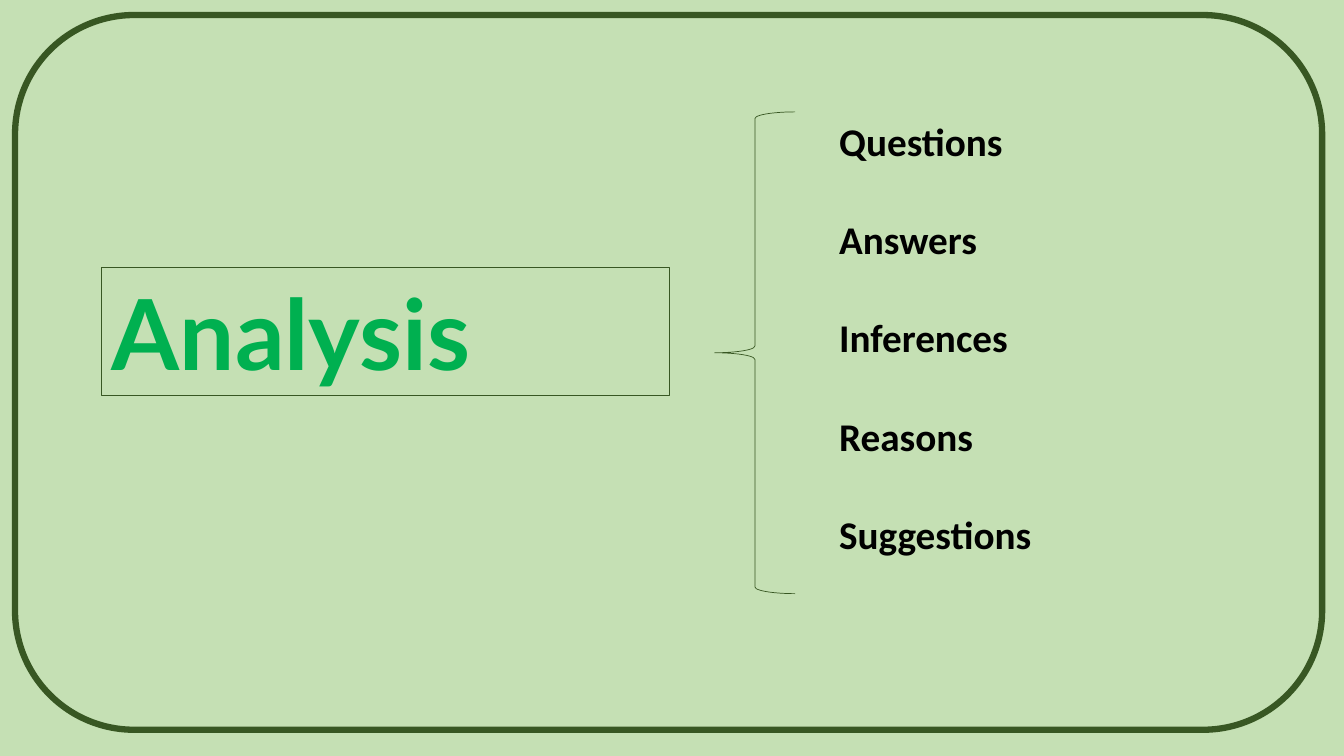
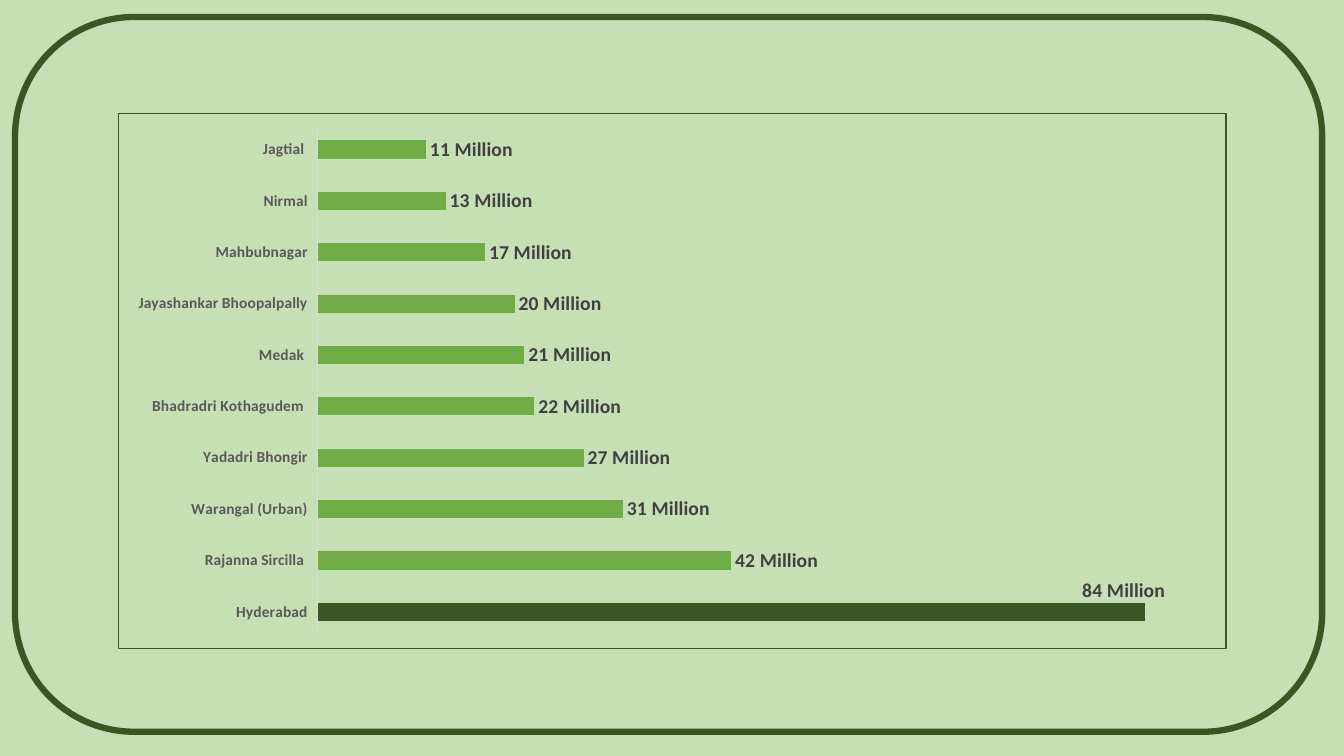
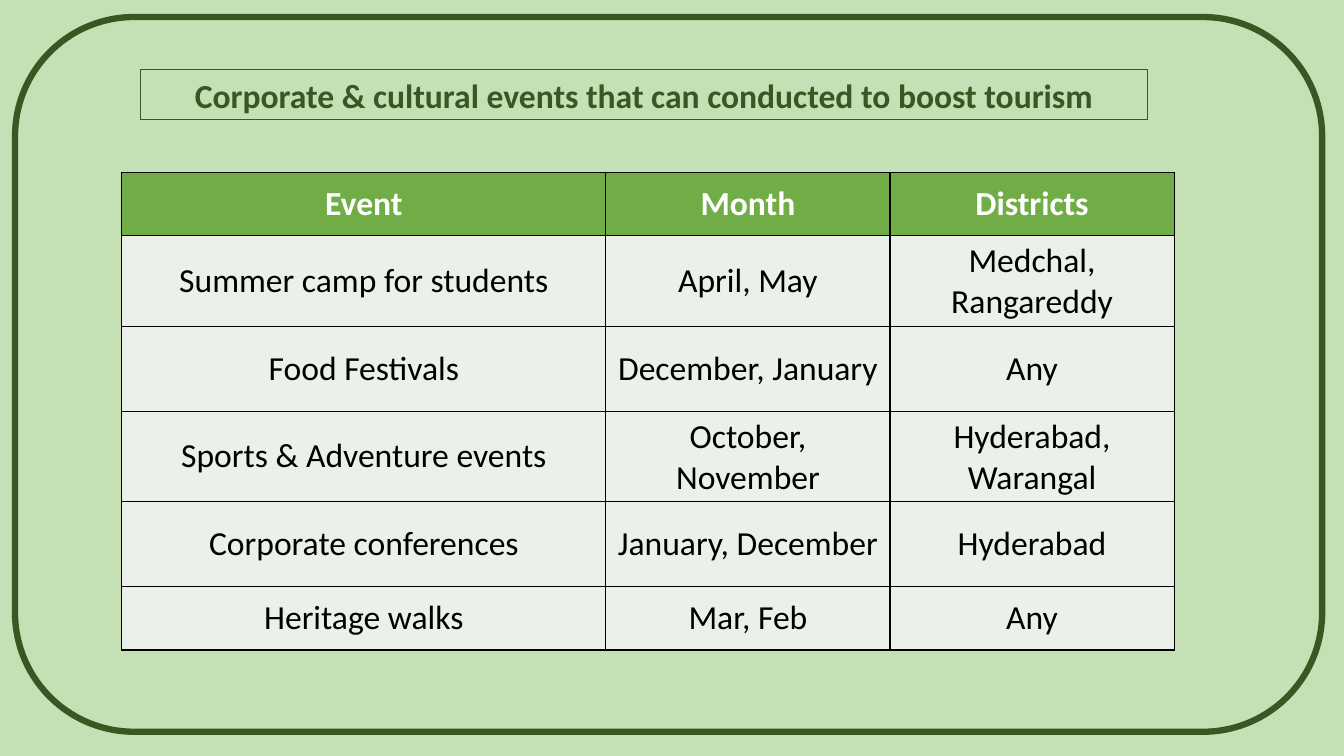
from pptx import Presentation
from pptx.chart.data import CategoryChartData as Data
from pptx.dml.color import RGBColor as Rgb
from pptx.enum.chart import XL_CHART_TYPE as Kind, XL_LABEL_POSITION as Spot
from pptx.enum.chart import XL_TICK_LABEL_POSITION as Side, XL_TICK_MARK as Tick
from pptx.enum.shapes import MSO_SHAPE as Form
from pptx.enum.text import MSO_ANCHOR as Anchor, MSO_AUTO_SIZE as Fit, PP_ALIGN as Align
from pptx.oxml import parse_xml
from pptx.oxml.ns import nsdecls
from pptx.util import Cm, Pt

HUES = {"back": "C5E0B4", "dark": "385723", "leaf": "70AD47", "title": "00B050",
        "cell": "EBF1E9", "black": "000000", "white": "FFFFFF",
        "axis": "D9D9D9", "name": "595959", "value": "404040"}
FACE = "Calibri"
UNIT = '0,,\\ "Million"'

TOPICS = ["Questions", "Answers", "Inferences", "Reasons", "Suggestions"]
VISITS = [("Hyderabad", 84), ("Rajanna Sircilla ", 42), ("Warangal (Urban)", 31),
          ("Yadadri Bhongir", 27), ("Bhadradri Kothagudem ", 22), ("Medak ", 21),
          ("Jayashankar Bhoopalpally", 20), ("Mahbubnagar", 17), ("Nirmal", 13),
          ("Jagtial ", 11)]
EVENTS = [("Event", "Month", "Districts"),
          ("Summer camp for students", "April, May", "Medchal, Rangareddy"),
          ("Food Festivals", "December, January", "Any"),
          ("Sports & Adventure events", "October, November", "Hyderabad, Warangal"),
          ("Corporate conferences", "January, December", "Hyderabad"),
          ("Heritage walks", "Mar, Feb", "Any")]


def hue(name):
    return Rgb.from_string(HUES[name])


def style(font, size, color, bold=True, face=FACE):
    font.size, font.bold, font.name = Pt(size), bold, face
    font.color.rgb = hue(color)


def write(frame, text, size=24, color="black", bold=True, face=FACE,
          align=Align.LEFT, anchor=Anchor.MIDDLE):
    frame.word_wrap = True
    frame.vertical_anchor = anchor
    para = frame.paragraphs[0]
    para.alignment = align
    run = para.add_run()
    run.text = text
    style(run.font, size, color, bold, face)


def outline(slide, form, box, width):
    """Add an unfilled shape with a dark line."""
    shape = slide.shapes.add_shape(form, *map(Cm, box))
    shape.shadow.inherit = False
    shape.fill.background()
    shape.line.color.rgb = hue("dark")
    shape.line.width = Pt(width)
    return shape


def border(slide, top=0.43):
    outline(slide, Form.ROUNDED_RECTANGLE, (0.38, top, 32.94, 18.01), 4.5)


def label(slide, box, text, **kind):
    """Add a thinly framed heading."""
    shape = outline(slide, Form.RECTANGLE, box, 0.75)
    write(shape.text_frame, text, **kind)
    shape.text_frame.auto_size = Fit.SHAPE_TO_FIT_TEXT


def topics(slide, box):
    """Add a brace with an evenly spaced list beside it."""
    left, top, width, high = box
    outline(slide, Form.LEFT_BRACE, (left, top, 2.03, high), 0.5)
    indent, pitch = 2.89, 2.48
    for row, text in enumerate(TOPICS):
        area = (left + indent, top + row * pitch, width - indent, 1.45)
        item = slide.shapes.add_textbox(*map(Cm, area))
        write(item.text_frame, text, size=28, anchor=Anchor.TOP)
        item.text_frame.auto_size = Fit.SHAPE_TO_FIT_TEXT


def layout(x, y, wide=None, high=None):
    """Make a manual chart layout, as fractions of the chart."""
    parts = {"x": x, "y": y}
    tags = ""
    if wide:
        parts.update(w=wide, h=high)
        tags = '<c:layoutTarget val="inner"/><c:xMode val="edge"/><c:yMode val="edge"/>'
    tags += "".join(f'<c:{key} val="{val}"/>' for key, val in parts.items())
    return parse_xml(f'<c:layout {nsdecls("c")}><c:manualLayout>{tags}'
                     '</c:manualLayout></c:layout>')


def bars(slide, box):
    data = Data(number_format="General")
    data.categories = [name for name, _ in VISITS]
    data.add_series("Series 1", [count * 1000000 for _, count in VISITS])
    chart = slide.shapes.add_chart(Kind.BAR_CLUSTERED, *map(Cm, box), data).chart
    chart.has_legend = chart.has_title = False
    style(chart.font, 10, "black", False)

    # Axes
    names, scale = chart.category_axis, chart.value_axis
    names.major_tick_mark = names.minor_tick_mark = Tick.NONE
    names.tick_label_position = Side.LOW
    names.has_major_gridlines = scale.has_major_gridlines = False
    names.format.line.color.rgb = hue("axis")
    names.format.line.width = Pt(0.75)
    style(names.tick_labels.font, 11, "name")
    scale.minimum_scale, scale.maximum_scale = 0, 90000000
    scale.visible = False

    # Bars, the largest one dark
    plot = chart.plots[0]
    plot.gap_width, plot.vary_by_categories = 182, False
    series = plot.series[0]
    for part, color in ((series, "leaf"), (series.points[0], "dark")):
        part.format.fill.solid()
        part.format.fill.fore_color.rgb = hue(color)

    # Value labels, the first one lifted above its bar
    tags = series.data_labels
    tags.show_value, tags.position = True, Spot.OUTSIDE_END
    tags.number_format, tags.number_format_is_linked = UNIT, False
    style(tags.font, 14, "value")
    first = series.points[0].data_label
    first.position = Spot.OUTSIDE_END
    style(first.font, 14, "value")
    mark = tags._element.xpath("c:dLbl/c:idx")[0]
    form = parse_xml(f'<c:numFmt {nsdecls("c")} sourceLinked="0"/>')
    form.set("formatCode", UNIT)
    mark.addnext(form)
    mark.addnext(layout(-0.06, -0.04))

    # Plot area and border
    root = chart._chartSpace
    area = root.xpath("c:chart/c:plotArea")[0]
    for old in area.xpath("c:layout"):
        area.remove(old)
    area.insert(0, layout(0.18, 0.02, 0.8, 0.96))
    root.xpath("c:chart")[0].addnext(parse_xml(
        f'<c:spPr {nsdecls("c", "a")}><a:noFill/><a:ln w="{Pt(0.75)}"><a:solidFill>'
        f'<a:srgbClr val="{HUES["dark"]}"/></a:solidFill></a:ln></c:spPr>'))


def edge(cell):
    """Put a black line on all four sides of a cell."""
    props = cell._tc.get_or_add_tcPr()
    for spot, side in enumerate("LRTB"):
        props.insert(spot, parse_xml(
            f'<a:ln{side} {nsdecls("a")} w="{Pt(1)}"><a:solidFill>'
            f'<a:srgbClr val="{HUES["black"]}"/></a:solidFill></a:ln{side}>'))


def events(slide, box):
    left, top, width, high = box
    table = slide.shapes.add_table(len(EVENTS), 3, *map(Cm, box)).table
    table.horz_banding = False
    for col, part in zip(table.columns, (0.46, 0.27, 0.27)):
        col.width = Cm(width * part)
    ends = 1.6
    inner = (high - 2 * ends) / (len(EVENTS) - 2)
    for row, line in enumerate(EVENTS):
        table.rows[row].height = Cm(ends if row in (0, len(EVENTS) - 1) else inner)
        head = row == 0
        for col, text in enumerate(line):
            cell = table.cell(row, col)
            cell.fill.solid()
            cell.fill.fore_color.rgb = hue("leaf" if head else "cell")
            cell.vertical_anchor = Anchor.MIDDLE
            write(cell.text_frame, text, color="white" if head else "black",
                  bold=head, align=Align.CENTER, anchor=None)
            edge(cell)


def main():
    deck = Presentation()
    deck.slide_width, deck.slide_height = Cm(33.87), Cm(19.05)
    back = deck.slide_master.background.fill
    back.solid()
    back.fore_color.rgb = hue("back")
    first, second, third = (deck.slides.add_slide(deck.slide_layouts[6])
                            for _ in range(3))

    # Analysis
    border(first, 0.38)
    label(first, (2.57, 6.73, 14.3, 3.25), "Analysis",
          size=70, color="title", face="Lato")
    topics(first, (18.01, 2.82, 11.53, 12.14))

    # Visitors by district
    bars(second, (2.97, 2.84, 27.94, 13.51))
    border(second)

    # Events
    border(third)
    label(third, (3.53, 1.75, 25.4, 1.27),
          "Corporate & cultural events that can conducted to boost tourism",
          color="dark", align=Align.CENTER)
    events(third, (3.07, 4.34, 26.52, 11.73))
    deck.save("out.pptx")


if __name__ == "__main__":
    main()
